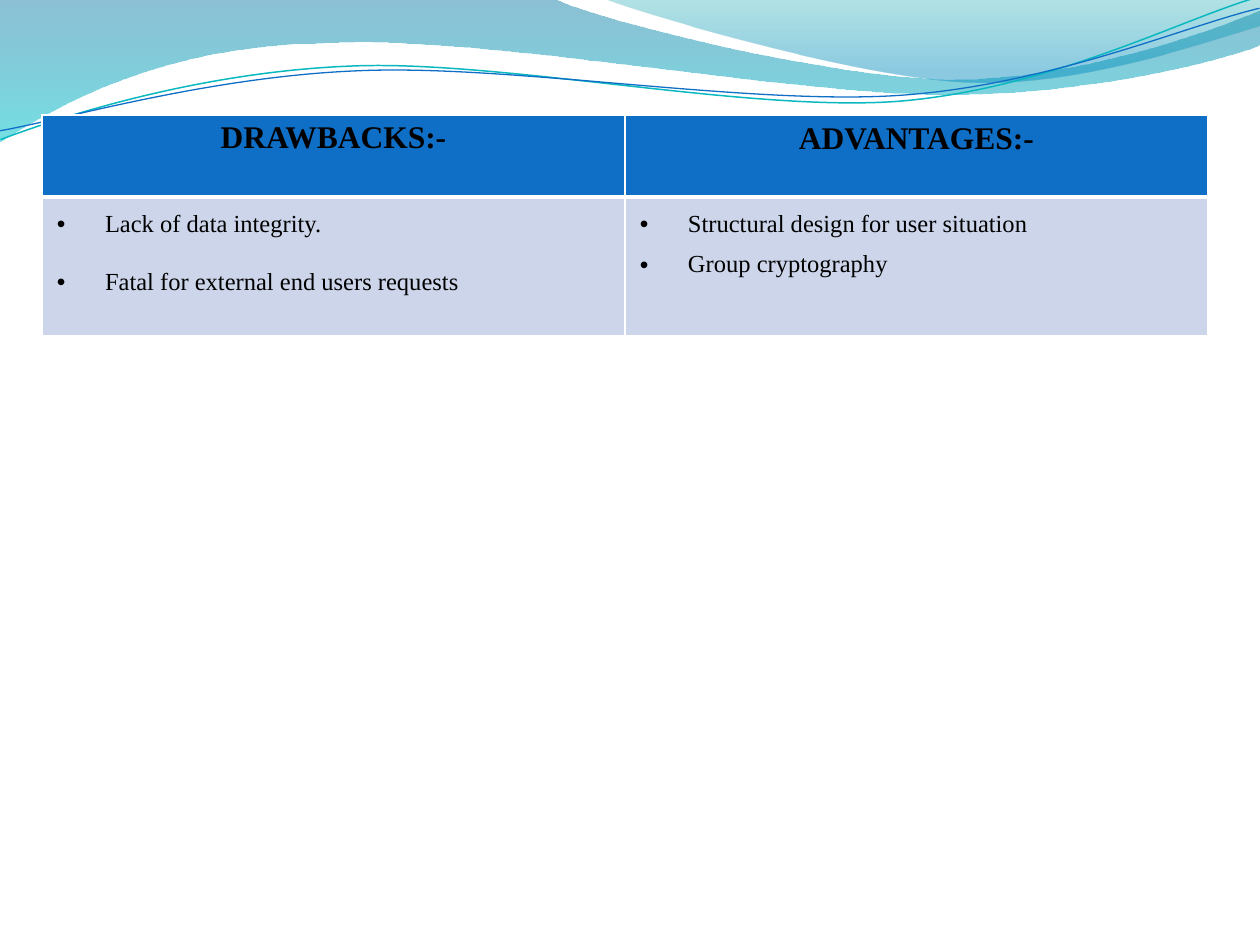
from lxml.etree import SubElement as Sub
from pptx import Presentation
from pptx.dml.color import RGBColor as RGB
from pptx.enum.text import PP_ALIGN as Align
from pptx.oxml import parse_xml
from pptx.oxml.ns import nsdecls, qn
from pptx.util import Pt

SCALE = 914400 / 126
HUES = {
    "deep": "0074A1", "aqua": "00C6CF", "teal": "00A1A9", "sky": "008BBF",
    "cyan": "0AB8BF", "head": "0F6FC6", "body": "CCD5EA",
    "white": "FFFFFF", "black": "000000",
}


def emu(px):
    return round(px * SCALE)


def hue(name):
    return RGB.from_string(HUES[name])


def write(par, text, font="Times New Roman", size=14, color="black", bold=False,
          align=Align.JUSTIFY, lead=None, after=0, bullet=False):
    par.alignment = align
    if lead:
        par.line_spacing = lead
    par.space_after = Pt(after)
    run = par.add_run()
    run.text = text
    run.font.name, run.font.size, run.font.bold = font, Pt(size), bold
    run.font.color.rgb = hue(color)
    if bullet:
        props = par._p.get_or_add_pPr()
        props.set("marL", str(emu(48)))
        props.set("indent", str(emu(-48)))
        Sub(props, qn("a:buFont"), typeface="Arial")
        Sub(props, qn("a:buChar"), char="•")


class Deck:
    def __init__(self, wide, high):
        self.prs = Presentation()
        self.prs.slide_width, self.prs.slide_height = emu(wide), emu(high)
        self.slide = self.prs.slides.add_slide(self.prs.slide_layouts[6])

    def outline(self, start, parts, close):
        """Parts of one point are lines; parts of three are cubic curves."""
        pen = self.slide.shapes.build_freeform(*start, scale=SCALE)
        pen.add_line_segments([pt for part in parts for pt in part], close=close)
        shape = pen.convert_to_shape()
        shape.shadow.inherit = False
        lines = iter(list(shape._element.iter(qn("a:lnTo"))))
        for part in parts:
            nodes = [next(lines) for _ in part]
            if len(nodes) == 3:
                bend = parse_xml(f'<a:cubicBezTo {nsdecls("a")}/>')
                nodes[0].addprevious(bend)
                for node in nodes:
                    bend.append(node[0])
                    node.getparent().remove(node)
        return shape

    def wave(self, start, parts, stops):
        """Filled shape; each stop is (place, colour, opacity in percent)."""
        shape = self.outline(start, parts, True)
        shape.line.fill.background()
        fill = shape.fill
        fill.gradient()
        fill.gradient_angle = 270
        for stop, (place, color, _) in zip(fill.gradient_stops, stops):
            stop.position = place
            stop.color.rgb = hue(color)
        for node, (_, _, part) in zip(shape._element.iter(qn("a:srgbClr")), stops):
            Sub(node, qn("a:alpha"), val=str(part * 1000))

    def curve(self, start, parts, color, width, turn=-2.7):
        shape = self.outline(start, parts, False)
        shape.rotation = turn
        shape.fill.background()
        shape.line.color.rgb = hue(color)
        shape.line.width = Pt(width)

    def table(self, left, top, cols, rows):
        frame = self.slide.shapes.add_table(len(rows), len(cols), emu(left), emu(top),
                                            emu(sum(cols)), emu(sum(rows)))
        grid = frame.table
        for col, wide in zip(grid.columns, cols):
            col.width = emu(wide)
        for row, high in zip(grid.rows, rows):
            row.height = emu(high)
        return grid

    def cell(self, cell, color, edges, pad=0):
        cell.fill.solid()
        cell.fill.fore_color.rgb = hue(color)
        cell.margin_left = cell.margin_right = emu(15)
        cell.margin_top = cell.margin_bottom = emu(pad)
        for i, (side, width) in enumerate(zip("LRTB", edges)):
            cell._tc.get_or_add_tcPr().insert(i, parse_xml(
                f'<a:ln{side} {nsdecls("a")} w="{Pt(width)}"><a:solidFill>'
                f'<a:srgbClr val="{HUES["white"]}"/></a:solidFill></a:ln{side}>'))


def main():
    deck = Deck(1260, 945)

    # Waves along the top
    deck.wave((0, 0), [
        [(554, -1)],
        [(600, 21), (837, 79), (955, 79)], [(1075, 79), (1207, 33), (1260, 11)],
        [(1261, 45)],
        [(1239, 55), (1096, 96), (940, 94)], [(784, 94), (481, 35), (324, 43)],
        [(163, 45), (58, 105), (-1, 142)],
    ], [(0, "deep", 45), (1, "aqua", 55)])
    deck.wave((604, -1), [
        [(641, 14), (859, 78), (969, 82)], [(1079, 87), (1211, 40), (1260, 26)],
        [(1260, 0)],
    ], [(0, "teal", 30), (0.8, "sky", 45)])

    # Thin lines over the waves, turned slightly
    deck.curve((-2, 110), [
        [(59, 90), (199, 52), (350, 53)], [(499, 53), (745, 118), (896, 114)],
        [(1049, 109), (1184, 45), (1260, 27)],
    ], "cyan", 0.85)
    deck.curve((-2, 101), [
        [(57, 94), (207, 57), (357, 58)], [(509, 58), (750, 112), (902, 108)],
        [(1052, 104), (1187, 52), (1262, 38)],
    ], "head", 0.75)

    # Table: heading, its line spacing, space after and padding, then
    # the items with the space after each
    sides = [
        ("DRAWBACKS:-", 1.15, 10, 0,
         [("Lack of data integrity.", 10), ("Fatal for external end users requests", 10)]),
        ("ADVANTAGES:-", None, 0, 6,
         [("Structural design for user situation", 0), ("Group cryptography", 10)]),
    ]
    grid = deck.table(42, 115, [583, 583], [82, 139])
    for i, (title, lead, after, pad, items) in enumerate(sides):
        head, body = grid.cell(0, i), grid.cell(1, i)
        deck.cell(head, "head", (1, 1, 1, 3), pad)
        deck.cell(body, "body", (1, 1, 3, 1))
        write(head.text_frame.paragraphs[0], title, size=18, bold=True,
              align=Align.CENTER, lead=lead, after=after)
        frame = body.text_frame
        for j, (text, gap) in enumerate(items):
            par = frame.add_paragraph() if j else frame.paragraphs[0]
            write(par, text, lead=1.5, after=gap, bullet=True)

    deck.prs.save("out.pptx")


if __name__ == "__main__":
    main()
